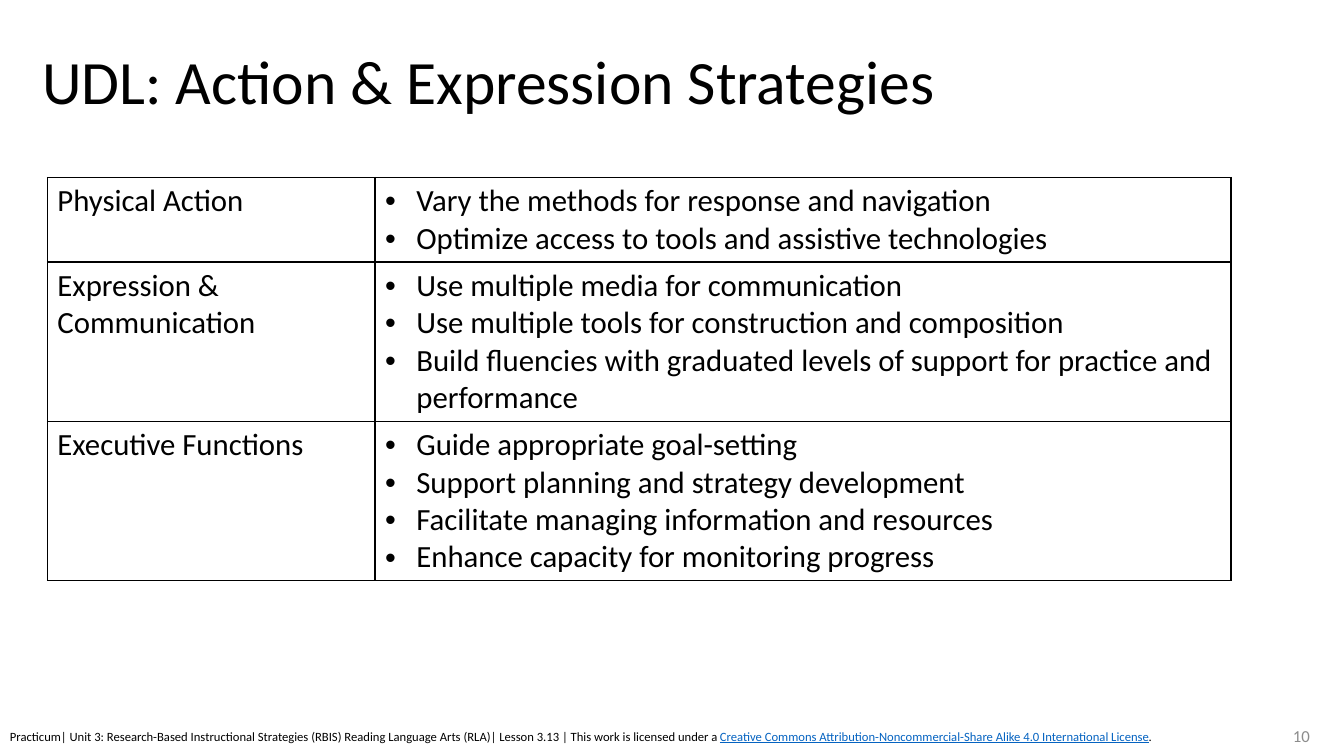
import pptx
import pptx.dml.color
import pptx.enum.text
import pptx.oxml
import pptx.oxml.ns
import pptx.util
from lxml import etree

COLORS = {"text": "000000", "link": "0563C1", "number": "8C8C8C", "border": "000000"}
FONT = "Calibri"
W, H = 13.33, 7.5
LINE, PADDING = 0.37, 0.1  # height of a table text line, and cell padding
INDENT = pptx.util.Inches(0.31)
inches = pptx.util.Inches
qn = pptx.oxml.ns.qn
ANCHOR = pptx.enum.text.MSO_ANCHOR
ALIGN = pptx.enum.text.PP_ALIGN


def style(font, size, color="text"):
    font.name = FONT
    font.size = pptx.util.Pt(size)
    font.color.rgb = pptx.dml.color.RGBColor.from_string(COLORS[color])


def add_text(left, top, width, height, text, size, color="text", anchor=ANCHOR.MIDDLE):
    """Add a wrapped text box and return its only paragraph."""
    sp = s.shapes.add_textbox(inches(left), inches(top), inches(width), inches(height))
    tf = sp.text_frame
    tf.word_wrap = True
    tf.vertical_anchor = anchor
    p = tf.paragraphs[0]
    p.text = text
    style(p.runs[0].font, size, color)
    return p


prs = pptx.Presentation()
prs.slide_width, prs.slide_height = inches(W), inches(H)
s = prs.slides.add_slide(prs.slide_layouts[6])

title = add_text(0.32, 0.26, 11.5, 1.15, "UDL: Action & Expression Strategies", 44)
title.line_spacing = 0.9

# Each row: heading, strategies, number of text lines
strategies = [
    ("Physical Action", [
        "Vary the methods for response and navigation",
        "Optimize access to tools and assistive technologies"], 2),
    ("Expression & Communication", [
        "Use multiple media for communication",
        "Use multiple tools for construction and composition",
        "Build fluencies with graduated levels of support for practice and performance"], 4),
    ("Executive Functions", [
        "Guide appropriate goal-setting",
        "Support planning and strategy development",
        "Facilitate managing information and resources",
        "Enhance capacity for monitoring progress"], 4),
]
heights = [lines * LINE + PADDING for _, _, lines in strategies]
col_widths = [3.25, 8.49]
table = s.shapes.add_table(len(strategies), 2, inches(0.47), inches(1.76),
                           inches(sum(col_widths)), inches(sum(heights))).table
table.first_row = table.horz_banding = False
for column, width in zip(table.columns, col_widths):
    column.width = inches(width)

for r, (heading, bullets, _) in enumerate(strategies):
    table.rows[r].height = inches(heights[r])
    for c, content in enumerate([heading, "\n".join(bullets)]):
        cell = table.cell(r, c)
        cell.text_frame.text = content
        for p in cell.text_frame.paragraphs:
            if c == 1:
                pPr = p._p.get_or_add_pPr()
                pPr.set("marL", str(INDENT))
                pPr.set("indent", str(-INDENT))
                etree.SubElement(pPr, qn("a:buFont"), typeface="Arial")
                etree.SubElement(pPr, qn("a:buChar"), char="•")
            style(p.runs[0].font, 22)
        cell.fill.background()
        tcPr = cell._tc.get_or_add_tcPr()
        for i, side in enumerate(("lnL", "lnR", "lnT", "lnB")):
            ln = etree.Element(qn(f"a:{side}"), w=str(pptx.util.Pt(1)))
            fill = etree.SubElement(ln, qn("a:solidFill"))
            etree.SubElement(fill, qn("a:srgbClr"), val=COLORS["border"])
            tcPr.insert(i, ln)

number = add_text(10.09, 7.1, 3, 0.4, "10", 12, "number")
number.alignment = ALIGN.RIGHT

footer = add_text(0, 7.18, 11.74, 0.25,
                  "Practicum| Unit 3: Research-Based Instructional Strategies (RBIS) "
                  "Reading Language Arts (RLA)| Lesson 3.13 | This work is licensed under a ",
                  9, anchor=ANCHOR.TOP)
for text, color in [
    ("Creative Commons Attribution-Noncommercial-Share Alike 4.0 International License", "link"),
    (".", "text"),
]:
    run = footer.add_run()
    run.text = text
    style(run.font, 9, color)
    run.font.underline = color == "link"

prs.save("out.pptx")
